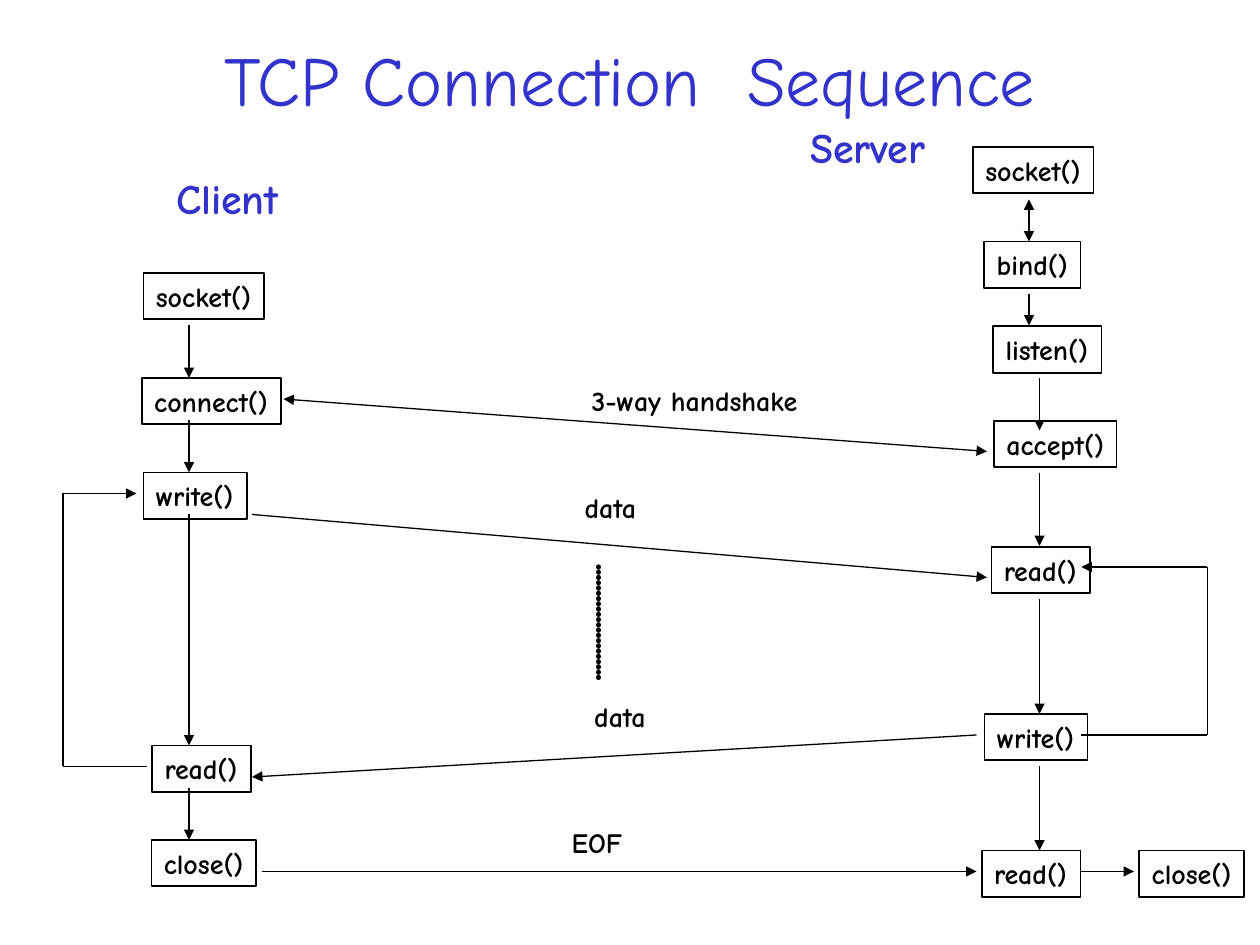
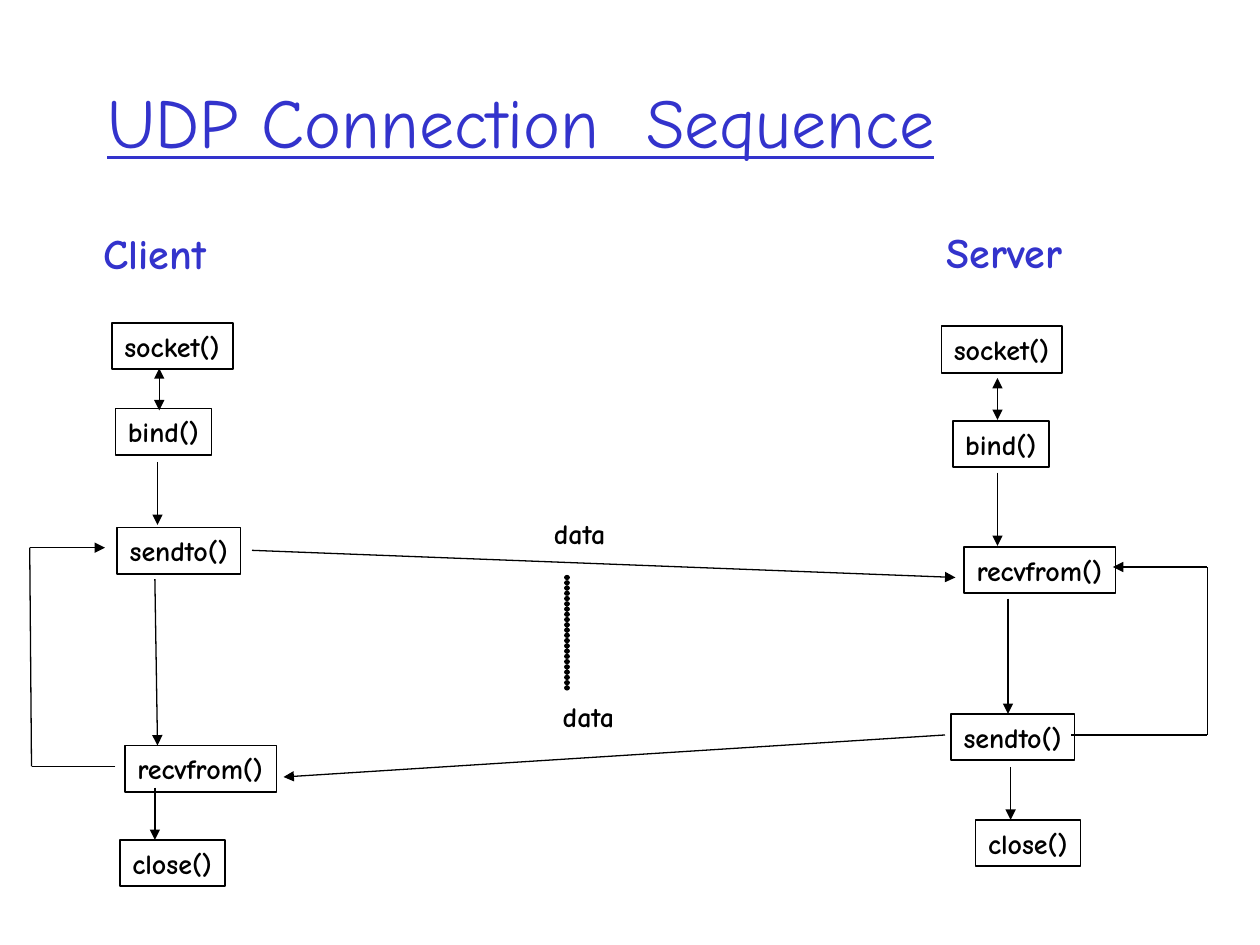
from dataclasses import dataclass
from itertools import pairwise

from lxml import etree
from pptx import Presentation
from pptx.dml.color import RGBColor
from pptx.enum.shapes import MSO_CONNECTOR, MSO_SHAPE
from pptx.enum.text import MSO_ANCHOR, MSO_AUTO_SIZE, PP_ALIGN
from pptx.oxml.ns import qn
from pptx.util import Pt

RECT = MSO_SHAPE.RECTANGLE
LINE = MSO_CONNECTOR.STRAIGHT
LEFT, CENTER = PP_ALIGN.LEFT, PP_ALIGN.CENTER
MIDDLE, TOP = MSO_ANCHOR.MIDDLE, MSO_ANCHOR.TOP
GROW, FIXED = MSO_AUTO_SIZE.SHAPE_TO_FIT_TEXT, MSO_AUTO_SIZE.NONE


@dataclass
class Theme:
    font: str = "Comic Neue"
    blue: RGBColor = RGBColor(0x33, 0x33, 0xCC)
    black: RGBColor = RGBColor(0, 0, 0)
    title: int = 40
    head: int = 24
    body: int = 16
    edge: float = 1
    thin: float = 0.75
    thick: float = 3


theme = Theme()

# Width of each word, and height for each type size
WIDE = {
    "socket()": 69, "connect()": 79.5, "bind()": 55, "listen()": 62,
    "accept()": 70, "write()": 59, "read()": 56.5, "close()": 60,
    "sendto()": 70.5, "recvfrom()": 86.5, "3-way handshake": 133,
    "EOF": 46, "data": 45, "Client": 74, "Server": 82,
}
HIGH = {theme.body: 26.5, theme.head: 36}

# Calls and labels are (text, left, top); links are lists of points
TCP = {
    "title": "TCP Connection  Sequence",
    "place": (54, -11.5, 612, 113), "align": CENTER, "under": None,
    "heads": [("Client", 93.5, 95), ("Server", 456, 66)],
    "calls": [
        ("socket()", 82, 156), ("connect()", 81, 216), ("write()", 82, 270),
        ("read()", 87, 426), ("close()", 86.5, 480),
        ("socket()", 556, 84), ("bind()", 562.5, 138), ("listen()", 567.5, 186.5),
        ("accept()", 568, 240.5), ("read()", 566.5, 312.5), ("write()", 562.5, 408),
        ("read()", 561, 486), ("close()", 651, 486),
    ],
    "labels": [("3-way handshake", 331, 215.5), ("data", 327, 276.5),
               ("data", 332.5, 396), ("EOF", 319.5, 468)],
    "spines": [
        (108, [(186, 216), (240, 270), (294, 426), (450, 480)]),
        (588, [(168, 186)]),
        (594, [(216, 246), (270, 312), (342, 408), (438, 486)]),
    ],
    "links": [
        [(84, 438), (36, 438), (36, 282), (78, 282)],
        [(618, 420), (690, 420), (690, 324), (618, 324)],
        [(144, 294), (564, 330)], [(558, 420), (144, 444)],
        [(150, 498), (558, 498)], [(618, 498), (648, 498)],
    ],
    "both": [[(588, 114), (588, 138)], [(162, 228), (564, 258)]],
    "dots": [(342, 324), (342, 390)],
}
UDP = {
    "title": "UDP Connection  Sequence",
    "place": (54, 24, 612, 90), "align": LEFT, "under": True,
    "heads": [("Client", 52, 126.5), ("Server", 534, 126)],
    "calls": [
        ("socket()", 64, 184.5), ("bind()", 66, 233.5), ("sendto()", 67, 301.5),
        ("recvfrom()", 71.5, 426), ("close()", 68.5, 480),
        ("socket()", 538, 186.5), ("bind()", 544.5, 240.5),
        ("recvfrom()", 551, 312.5), ("sendto()", 543.5, 408), ("close()", 557.5, 468.5),
    ],
    "labels": [("data", 309.5, 291.5), ("data", 314.5, 396)],
    "spines": [
        (90, [(264, 300)]), (88.5, [(450, 480)]), (570, [(270, 312)]),
        (576, [(342, 408)]), (577.5, [(438.5, 468.5)]),
    ],
    "links": [
        [(88.5, 331), (90, 426)],
        [(66, 438), (18, 438), (17, 313), (60, 313)],
        [(612, 420), (690, 420), (690, 324), (636, 324)],
        [(144, 314.5), (546, 330)], [(540, 420), (162, 444)],
    ],
    "both": [[(91, 210.5), (91, 234.5)], [(570, 216), (570, 240)]],
    "dots": [(324, 330), (324, 395.5)],
}


def write(shape, text, size, color, bold=True, align=LEFT):
    frame = shape.text_frame
    para = frame.paragraphs[0]
    para.alignment = align
    run = para.add_run()
    run.text = text
    font = run.font
    font.name, font.size, font.bold = theme.font, Pt(size), bold
    font.color.rgb = color
    title = size == theme.title
    frame.word_wrap = title
    frame.auto_size = FIXED if title else GROW
    frame.vertical_anchor = MIDDLE if title else TOP
    return font


def link(slide, points, width=theme.thin, head=False, tail=True):
    """Join the points; arrowheads go on the two outer ends."""
    pairs = list(pairwise(points))
    for i, (start, end) in enumerate(pairs):
        line = slide.shapes.add_connector(LINE, *map(Pt, start + end))
        line.line.width = Pt(width)
        line.line.color.rgb = theme.black
        props = line._element.spPr
        stroke = props.find(qn("a:ln"))
        if head and i == 0:
            etree.SubElement(stroke, qn("a:headEnd"), type="triangle")
        if tail and i == len(pairs) - 1:
            etree.SubElement(stroke, qn("a:tailEnd"), type="triangle")
        etree.SubElement(props, qn("a:effectLst"))
    return stroke


deck = Presentation()
deck.slide_width, deck.slide_height = Pt(720), Pt(540)

for plan in (TCP, UDP):
    slide = deck.slides.add_slide(deck.slide_layouts[5])

    # Title
    title = slide.shapes.title
    title.left, title.top, title.width, title.height = map(Pt, plan["place"])
    font = write(title, plan["title"], theme.title, theme.blue, False, plan["align"])
    font.underline = plan["under"]

    # Boxes for the calls
    for text, x, y in plan["calls"]:
        box = slide.shapes.add_shape(
            RECT, Pt(x), Pt(y), Pt(WIDE[text]), Pt(HIGH[theme.body]))
        box.shadow.inherit = False
        box.fill.background()
        box.line.color.rgb = theme.black
        box.line.width = Pt(theme.edge)
        write(box, text, theme.body, theme.black)

    # Side heads and message labels
    for key, size, color in (("heads", theme.head, theme.blue),
                             ("labels", theme.body, theme.black)):
        for text, x, y in plan[key]:
            label = slide.shapes.add_textbox(
                Pt(x), Pt(y), Pt(WIDE[text]), Pt(HIGH[size]))
            write(label, text, size, color)

    # Arrows down each side, then loops and messages
    for x, spans in plan["spines"]:
        for top, end in spans:
            link(slide, [(x, top), (x, end)])
    for points in plan["links"]:
        link(slide, points)
    for points in plan["both"]:
        link(slide, points, head=True)

    # Dotted line for repeated data
    stroke = link(slide, plan["dots"], theme.thick, tail=False)
    stroke.set("cap", "rnd")
    dash = etree.SubElement(stroke, qn("a:custDash"))
    etree.SubElement(dash, qn("a:ds"), d="1000", sp="99000")

deck.save("out.pptx")
